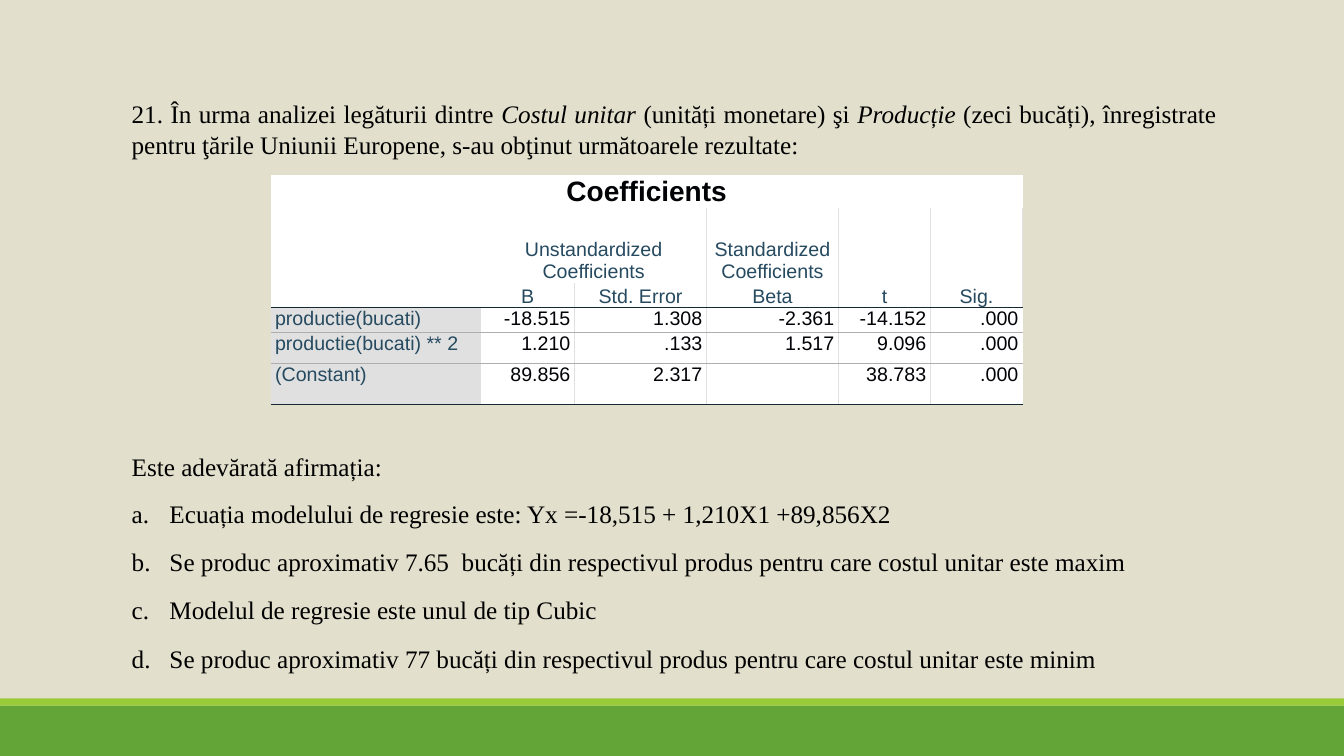
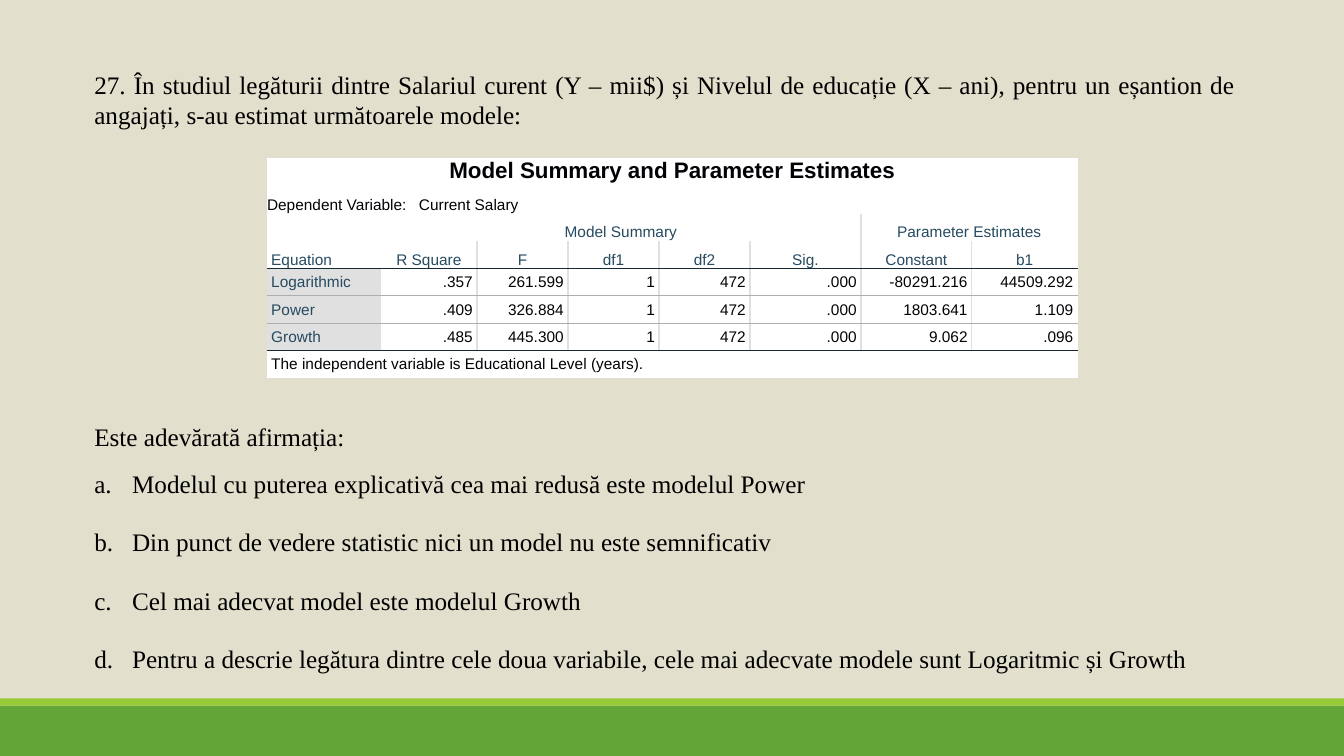
import pptx
import pptx.dml.color
import pptx.enum.shapes
import pptx.enum.text
import pptx.oxml
import pptx.oxml.ns
import pptx.util
from lxml import etree

Pt = pptx.util.Pt
ALIGN = pptx.enum.text.PP_ALIGN
ANCHOR = pptx.enum.text.MSO_ANCHOR
NO_GRID_STYLE = "{2D5ABB26-0587-4C30-8999-92F81FD0307C}"


def color(value):
    return pptx.dml.color.RGBColor.from_string(value)


def add_element(parent, tag, **attributes):
    child = etree.SubElement(parent, pptx.oxml.ns.qn(tag))
    for name, value in attributes.items():
        child.set(name, str(value))
    return child


class QuizDeck:
    WIDTH, HEIGHT = 960, 540
    BACKGROUND, GREEN, LIME = "E2DFCC", "63A537", "99CB38"
    WHITE, GREY, BLACK = "FFFFFF", "E0E0E0", "000000"
    RULE, ROW_LINE, LABEL, VALUE = "152935", "AEAEAE", "264A60", "010205"
    TEXT_FONT, TABLE_FONT = "Times New Roman", "Arial"

    def __init__(self):
        self.deck = pptx.Presentation()
        self.deck.slide_width = Pt(self.WIDTH)
        self.deck.slide_height = Pt(self.HEIGHT)
        fill = self.deck.slide_master.background.fill
        fill.solid()
        fill.fore_color.rgb = color(self.BACKGROUND)
        self.slide = None

    def add_slide(self):
        self.slide = self.deck.slides.add_slide(self.deck.slide_layouts[6])
        self.add_band(504, 36, self.GREEN)
        self.add_band(498.75, 5.25, self.LIME)

    def add_band(self, top, height, fill):
        band = self.slide.shapes.add_shape(
            pptx.enum.shapes.MSO_SHAPE.RECTANGLE, 0, Pt(top), Pt(self.WIDTH), Pt(height))
        band.shadow.inherit = False
        band.fill.solid()
        band.fill.fore_color.rgb = color(fill)
        band.line.fill.background()

    def set_font(self, para, name, size, value, bold=False):
        para.font.name = name
        para.font.size = Pt(size)
        para.font.bold = bold
        para.font.color.rgb = color(value)

    def add_question(self, left, top, width, height, question, answers, space_after):
        box = self.slide.shapes.add_textbox(Pt(left), Pt(top), Pt(width), Pt(height))
        frame = box.text_frame
        frame.word_wrap = True
        para = frame.paragraphs[0]
        para.alignment = ALIGN.JUSTIFY
        for text, italic in question:
            span = para.add_run()
            span.text = text
            if italic:
                span.font.italic = True
        self.set_font(para, self.TEXT_FONT, 18, self.BLACK)

        prompt = frame.add_paragraph()
        prompt.text = "Este adevărată afirmația:"
        prompt.line_spacing = 1.5
        prompt.space_before = Pt(197.5)
        self.set_font(prompt, self.TEXT_FONT, 18, self.BLACK)
        for answer in answers:
            self.add_answer(frame.add_paragraph(), answer, space_after)

    def add_answer(self, para, text, space_after):
        para.text = text
        para.line_spacing = 1.5
        para.space_before = Pt(1.2)
        para.space_after = Pt(space_after)
        properties = para._p.get_or_add_pPr()
        properties.set("marL", str(Pt(27)))
        properties.set("indent", str(-Pt(27)))
        add_element(properties, "a:buFont", typeface=self.TEXT_FONT)
        add_element(properties, "a:buAutoNum", type="alphaLcPeriod")
        self.set_font(para, self.TEXT_FONT, 18, self.BLACK)

    def add_table(self, left, top, widths, heights, captions, headers, merges,
                  records, notes=(), title_size=16, size=11, line_spacing=None):
        columns = len(widths)
        first_header = len(captions)
        first_record = first_header + len(headers)
        first_note = first_record + len(records)
        padding = [""] * (columns - 1)
        grid = [[text] + padding for text in captions]
        grid += headers + records + [[text] + padding for text in notes]

        frame = self.slide.shapes.add_table(
            len(grid), columns, Pt(left), Pt(top), Pt(sum(widths)), Pt(sum(heights)))
        table = frame.table
        table.first_row = table.horz_banding = False
        next(frame.element.iter(pptx.oxml.ns.qn("a:tableStyleId"))).text = NO_GRID_STYLE
        for column, width in zip(table.columns, widths):
            column.width = Pt(width)
        for row, height in zip(table.rows, heights):
            row.height = Pt(height)

        full_rows = [*range(first_header), *range(first_note, len(grid))]
        areas = [(row, 0, row, columns - 1) for row in full_rows]
        areas += [(first_header + a, b, first_header + c, d) for a, b, c, d in merges]
        for start_row, start, end_row, end in areas:
            table.cell(start_row, start).merge(table.cell(end_row, end))

        lines = {row: self.ROW_LINE for row in range(first_record + 1, first_note)}
        lines[first_record] = lines[first_note] = self.RULE
        for row, texts in enumerate(grid):
            for column, text in enumerate(texts):
                cell = table.cell(row, column)
                in_record = first_record <= row < first_note
                if not cell.is_spanned:
                    last = column + (cell.span_width if cell.is_merge_origin else 1) - 1
                    below = row + (cell.span_height if cell.is_merge_origin else 1)
                    ruled = first_header <= row < first_note
                    self.set_borders(cell, {
                        "a:lnL": self.GREY if ruled and column > 1 else None,
                        "a:lnR": self.GREY if ruled and 0 < last < columns - 1 else None,
                        "a:lnT": lines.get(row),
                        "a:lnB": lines.get(below)})
                cell.fill.solid()
                cell.fill.fore_color.rgb = color(
                    self.GREY if in_record and column == 0 else self.WHITE)
                cell.margin_top = cell.margin_bottom = 0
                subtitle = 0 < row < first_header
                cell.margin_left = Pt(0 if subtitle else 3)
                cell.margin_right = Pt(3)
                if row == 0:
                    cell.vertical_anchor = ANCHOR.MIDDLE
                elif row < first_record:
                    cell.vertical_anchor = ANCHOR.BOTTOM

                para = cell.text_frame.paragraphs[0]
                para.text = text
                if row == 0 or first_header <= row < first_record and column:
                    para.alignment = ALIGN.CENTER
                elif in_record and column:
                    para.alignment = ALIGN.RIGHT
                if line_spacing:
                    para.line_spacing = Pt(line_spacing)
                if "\t" in text:
                    tabs = add_element(para._p.get_or_add_pPr(), "a:tabLst")
                    add_element(tabs, "a:tab", pos=Pt(108.5), algn="l")
                labelled = first_header <= row < first_record or in_record and column == 0
                self.set_font(para, self.TABLE_FONT, size if row else title_size,
                              self.LABEL if labelled else self.VALUE, row == 0)

    def set_borders(self, cell, borders):
        properties = cell._tc.get_or_add_tcPr()
        for tag, value in borders.items():
            if value:
                line = add_element(properties, tag, w=Pt(1))
                add_element(add_element(line, "a:solidFill"), "a:srgbClr", val=value)


def main():
    quiz = QuizDeck()

    quiz.add_slide()
    quiz.add_question(
        87, 67, 789, 410,
        [("21. În urma analizei legăturii dintre ", False),
         ("Costul unitar ", True),
         ("(unități monetare) şi ", False),
         ("Producție ", True),
         ("(zeci bucăți), înregistrate pentru ţările Uniunii Europene, "
          "s-au obţinut următoarele rezultate:", False)],
        ["Ecuația modelului de regresie este: Yx =-18,515 + 1,210X1 +89,856X2",
         "Se produc aproximativ 7.65  bucăți din respectivul produs pentru care "
         "costul unitar este maxim",
         "Modelul de regresie este unul de tip Cubic",
         "Se produc aproximativ 77 bucăți din respectivul produs pentru care "
         "costul unitar este minim"],
        space_after=1)
    quiz.add_table(
        193.5, 124.75, [150, 67, 94.25, 94.25, 65.75, 65.75],
        [23.5, 53.5, 17.25, 18, 22.25, 29.25],
        captions=["Coefficients"],
        headers=[
            ["", "Unstandardized Coefficients", "", "Standardized Coefficients", "t", "Sig."],
            ["", "B", "Std. Error", "Beta", "", ""]],
        merges=[(0, 0, 1, 0), (0, 1, 0, 2), (0, 4, 1, 4), (0, 5, 1, 5)],
        records=[
            ["productie(bucati)", "-18.515", "1.308", "-2.361", "-14.152", ".000"],
            ["productie(bucati) ** 2", "1.210", ".133", "1.517", "9.096", ".000"],
            ["(Constant)", "89.856", "2.317", "", "38.783", ".000"]],
        title_size=20, size=14)

    quiz.add_slide()
    quiz.add_question(
        60.25, 46, 829.5, 486.5,
        [("27. În studiul legăturii dintre Salariul curent (Y – mii$) și Nivelul de "
          "educație (X – ani), pentru un eșantion de angajați, s-au estimat "
          "următoarele modele:", False)],
        ["Modelul cu puterea explicativă cea mai redusă este modelul Power",
         "Din punct de vedere statistic nici un model nu este semnificativ",
         "Cel mai adecvat model este modelul Growth",
         "Pentru a descrie legătura dintre cele doua variabile, cele mai adecvate "
         "modele sunt Logaritmic și Growth"],
        space_after=8)
    quiz.add_table(
        190.75, 113, [81.25, 68.75, 65, 65, 65, 79.25, 79.25, 75.5],
        [20] + [19.6] * 7,
        captions=["Model Summary and Parameter Estimates",
                  "Dependent Variable:\tCurrent Salary"],
        headers=[
            ["Equation", "Model Summary", "", "", "", "", "Parameter Estimates", ""],
            ["", "R Square", "F", "df1", "df2", "Sig.", "Constant", "b1"]],
        merges=[(0, 0, 1, 0), (0, 1, 0, 5), (0, 6, 0, 7)],
        records=[
            ["Logarithmic", ".357", "261.599", "1", "472", ".000", "-80291.216", "44509.292"],
            ["Power", ".409", "326.884", "1", "472", ".000", "1803.641", "1.109"],
            ["Growth", ".485", "445.300", "1", "472", ".000", "9.062", ".096"]],
        notes=["The independent variable is Educational Level (years)."],
        line_spacing=16)

    quiz.deck.save("out.pptx")


if __name__ == "__main__":
    main()
